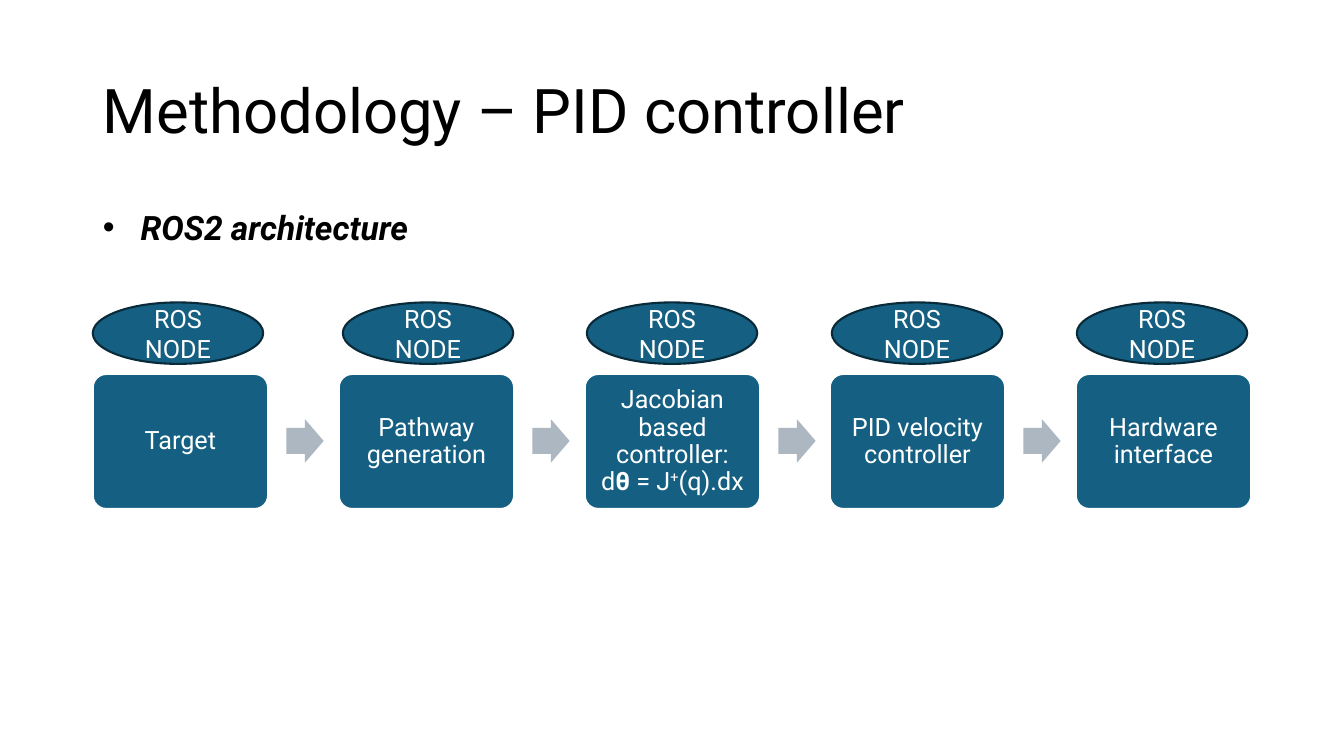
from dataclasses import dataclass

import pptx
import pptx.util
from pptx.dml.color import RGBColor
from pptx.enum.shapes import MSO_SHAPE
from pptx.enum.text import MSO_ANCHOR, MSO_AUTO_SIZE, PP_ALIGN

PX = 9144


@dataclass(frozen=True)
class Theme:
    font: str = "Roboto"
    ink: str = "000000"
    light: str = "FFFFFF"
    fill: str = "156082"
    node_line: str = "092A39"
    arrow: str = "ACB7C1"
    title_pt: int = 44
    body_pt: int = 24
    label_pt: int = 18
    line_pt: float = 1.5


@dataclass(frozen=True)
class Box:
    left: int
    top: int
    width: int
    height: int

    def emu(self) -> list[int]:
        return [v * PX for v in (self.left, self.top, self.width, self.height)]


@dataclass(frozen=True)
class Run:
    text: str
    bold: bool = False
    superscript: bool = False
    new_line: bool = False


@dataclass(frozen=True)
class Step:
    runs: tuple[Run, ...]
    node_left: int


THEME = Theme()
STEPS = (
    Step((Run("Target"),), 92),
    Step((Run("Pathway generation"),), 340),
    Step((Run("Jacobian based controller:"), Run("d", new_line=True), Run("θ", bold=True),
          Run(" = J"), Run("+", superscript=True), Run("(q).dx")), 582),
    Step((Run("PID velocity controller"),), 825),
    Step((Run("Hardware interface"),), 1068),
)
NODE_LABEL = (Run("ROS NODE"),)
FLOW_LEFT = 92
STEP_PITCH = 243.75
ARROW_OFFSET = 192


def set_font(p, size: int, color: str) -> None:
    p.font.name = THEME.font
    p.font.size = pptx.util.Pt(size)
    p.font.color.rgb = RGBColor.from_string(color)


def fill_placeholder(sp, box: Box, text: str, size: int):
    sp.left, sp.top, sp.width, sp.height = box.emu()
    tf = sp.text_frame
    tf.text = text
    tf.auto_size = MSO_AUTO_SIZE.NONE
    p = tf.paragraphs[0]
    p.alignment = PP_ALIGN.LEFT
    p.space_before = pptx.util.Pt(0)
    set_font(p, size, THEME.ink)
    return p


def add_shape(s, kind: MSO_SHAPE, box: Box, fill: str, line: str | None = None):
    sp = s.shapes.add_shape(kind, *box.emu())
    sp.shadow.inherit = False
    sp.fill.solid()
    sp.fill.fore_color.rgb = RGBColor.from_string(fill)
    if line is None:
        sp.line.fill.background()
    else:
        sp.line.color.rgb = RGBColor.from_string(line)
        sp.line.width = pptx.util.Pt(THEME.line_pt)
    return sp


def add_label(sp, runs: tuple[Run, ...]):
    tf = sp.text_frame
    tf.word_wrap = True
    tf.vertical_anchor = MSO_ANCHOR.MIDDLE
    p = tf.paragraphs[0]
    p.alignment = PP_ALIGN.CENTER
    set_font(p, THEME.label_pt, THEME.light)
    for run in runs:
        if run.new_line:
            p.add_line_break()
        r = p.add_run()
        r.text = run.text
        if run.bold:
            r.font.bold = True
        if run.superscript:
            r._r.get_or_add_rPr().set("baseline", "30000")
    return tf


def add_step(s, left: int, step: Step) -> None:
    sp = add_shape(s, MSO_SHAPE.ROUNDED_RECTANGLE, Box(left, 371, 174, 134),
                   THEME.fill, THEME.light)
    sp.adjustments[0] = 0.1
    tf = add_label(sp, step.runs)
    tf.margin_left = tf.margin_right = tf.margin_top = tf.margin_bottom = 11 * PX
    tf.paragraphs[0].line_spacing = 0.9


def add_arrow(s, left: int) -> None:
    sp = add_shape(s, MSO_SHAPE.RIGHT_ARROW, Box(left, 416, 37, 43), THEME.arrow)
    sp.adjustments[0] = 0.6
    sp.adjustments[1] = 0.5


def add_node(s, left: int) -> None:
    sp = add_shape(s, MSO_SHAPE.OVAL, Box(left, 300, 169, 61), THEME.fill, THEME.node_line)
    add_label(sp, NODE_LABEL)


def main() -> None:
    prs = pptx.Presentation()
    prs.slide_width, prs.slide_height = 1333 * PX, 750 * PX
    s = prs.slides.add_slide(prs.slide_layouts[1])

    p = fill_placeholder(s.shapes.title, Box(92, 40, 1150, 145),
                         "Methodology – PID controller", THEME.title_pt)
    p.line_spacing = 0.9
    p = fill_placeholder(s.placeholders[1], Box(92, 200, 1150, 50),
                         "ROS2 architecture", THEME.body_pt)
    p.font.bold = True
    p.font.italic = True

    for i, step in enumerate(STEPS):
        left = FLOW_LEFT + round(i * STEP_PITCH)
        add_step(s, left, step)
        if i < len(STEPS) - 1:
            add_arrow(s, left + ARROW_OFFSET)
    for step in STEPS:
        add_node(s, step.node_left)

    prs.save("out.pptx")


if __name__ == "__main__":
    main()
